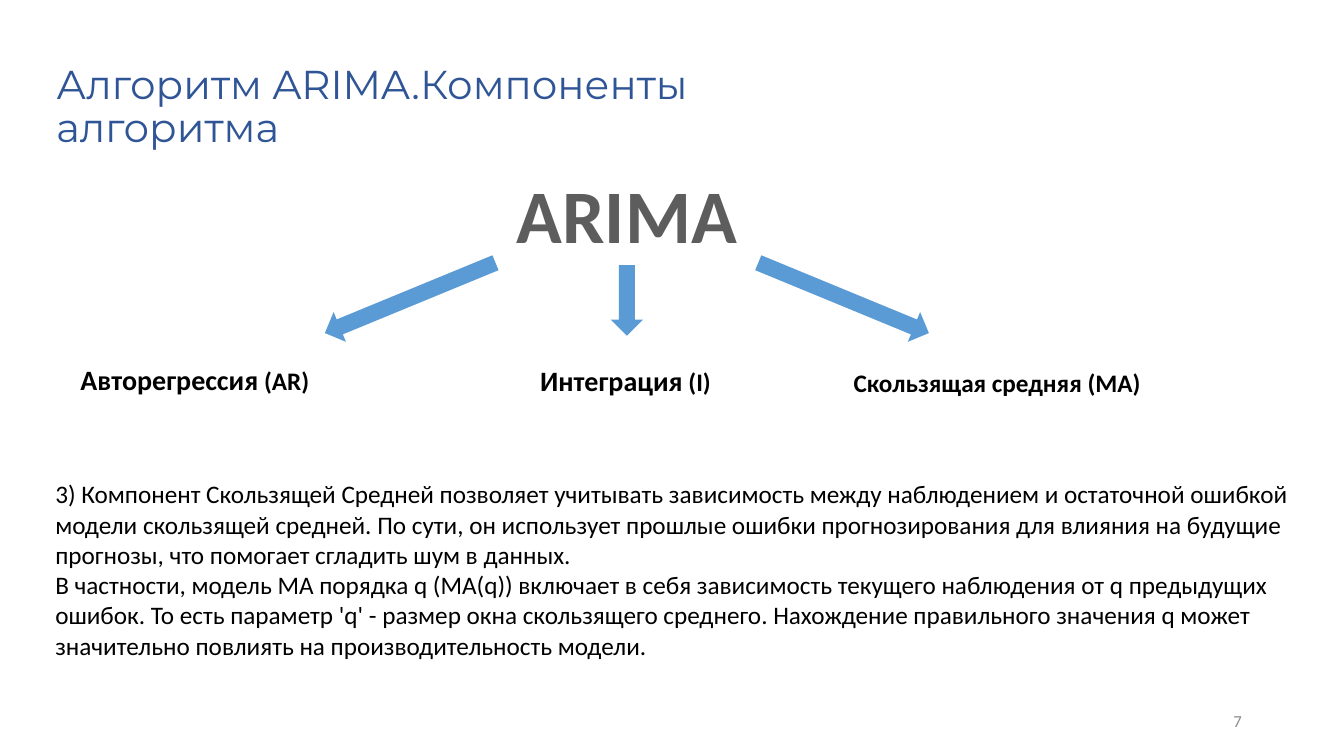
from pptx import Presentation
from pptx.dml.color import RGBColor
from pptx.enum.shapes import MSO_SHAPE
from pptx.enum.text import MSO_ANCHOR, PP_ALIGN
from pptx.util import Pt

LEFT, CENTER, RIGHT = PP_ALIGN.LEFT, PP_ALIGN.CENTER, PP_ALIGN.RIGHT
TOP, MIDDLE = MSO_ANCHOR.TOP, MSO_ANCHOR.MIDDLE
DOWN_ARROW = MSO_SHAPE.DOWN_ARROW

# Content: boxes are left, top, width, height in points
BLACK, BLUE, NAVY, GRAY, PALE = "000000", "5B9BD5", "2F5597", "5D5D5D", "8C8C8C"
TITLE = "Алгоритм ARIMA.Компоненты алгоритма"
TITLE_BOX = (40.3, 25.9, 544.3, 102.2)
MODEL, MODEL_BOX = "ARIMA", (353.5, 116.6, 188.6, 72.7)
COMPONENTS = [
    ((50.4, 255.6, 179.3, 31.7), [("Авторегрессия", 20), (" (AR)", 18)]),
    ((378.7, 256.3, 137.5, 31.7), [("Интеграция", 20), (" (I)", 18)]),
    ((602.6, 258.5, 221.8, 28.8), [("Скользящая средняя (MA)", 18)]),
]
DESCRIPTION = [
    "3) Компонент Скользящей Средней позволяет учитывать зависимость между "
    "наблюдением и остаточной ошибкой модели скользящей средней. По сути, он "
    "использует прошлые ошибки прогнозирования для влияния на будущие прогнозы, "
    "что помогает сгладить шум в данных.",
    "В частности, модель MA порядка q (MA(q)) включает в себя зависимость "
    "текущего наблюдения от q предыдущих ошибок. То есть параметр 'q' - размер "
    "окна скользящего среднего. Нахождение правильного значения q может "
    "значительно повлиять на производительность модели.",
]
DESCRIPTION_BOX = (32.4, 338.4, 900.7, 138.2)
PAGE, PAGE_BOX = "7", (678.2, 500.4, 216, 28.8)

# Arrows: centre x, centre y, length, rotation
ARROW_WIDTH, SPREAD, TILT = 23, 154.8, 67.6
HUB_X, SIDE_Y = 447.8, 212.8
ARROWS = [
    (HUB_X - SPREAD, SIDE_Y, 131.8, TILT),
    (HUB_X, 214.6, 50.4, 0),
    (HUB_X + SPREAD, SIDE_Y, 131.8, 360 - TILT),
]


def rgb(code):
    return RGBColor.from_string(code)


def points(box):
    return [Pt(value) for value in box]


def add_run(paragraph, text, size, color, bold=False, font="Calibri"):
    run = paragraph.add_run()
    run.text = text
    run.font.name, run.font.size, run.font.bold = font, Pt(size), bold
    run.font.color.rgb = rgb(color)


def add_text(box, paragraphs, color=BLACK, bold=False, align=LEFT, anchor=TOP, wrap=True):
    frame = slide.shapes.add_textbox(*points(box)).text_frame
    frame.word_wrap, frame.vertical_anchor = wrap, anchor
    for index, runs in enumerate(paragraphs):
        paragraph = frame.add_paragraph() if index else frame.paragraphs[0]
        paragraph.alignment = align
        for text, size in runs:
            add_run(paragraph, text, size, color, bold)


presentation = Presentation()
presentation.slide_width, presentation.slide_height = Pt(960), Pt(540)
slide = presentation.slides.add_slide(presentation.slide_layouts[5])

# Title
title = slide.shapes.title
title.left, title.top, title.width, title.height = points(TITLE_BOX)
heading = title.text_frame
heading.word_wrap, heading.vertical_anchor = True, MIDDLE
heading.margin_left = heading.margin_right = heading.margin_top = heading.margin_bottom = 0
heading.paragraphs[0].alignment = LEFT
heading.paragraphs[0].line_spacing = 0.9
add_run(heading.paragraphs[0], TITLE, 28.8, NAVY, font="Montserrat")

# Model name and arrows to its components
add_text(MODEL_BOX, [[(MODEL, 54)]], GRAY, bold=True, align=CENTER)
for center_x, center_y, length, rotation in ARROWS:
    box = (center_x - ARROW_WIDTH / 2, center_y - length / 2, ARROW_WIDTH, length)
    arrow = slide.shapes.add_shape(DOWN_ARROW, *points(box))
    arrow.rotation = rotation
    arrow.shadow.inherit = False
    arrow.fill.solid()
    arrow.fill.fore_color.rgb = rgb(BLUE)
    arrow.line.fill.background()

# Component names
for box, runs in COMPONENTS:
    add_text(box, [runs], bold=True, wrap=False)

# Description and page number
add_text(DESCRIPTION_BOX, [[(text, 18)] for text in DESCRIPTION])
add_text(PAGE_BOX, [[(PAGE, 12)]], PALE, align=RIGHT, anchor=MIDDLE)

presentation.save("out.pptx")
